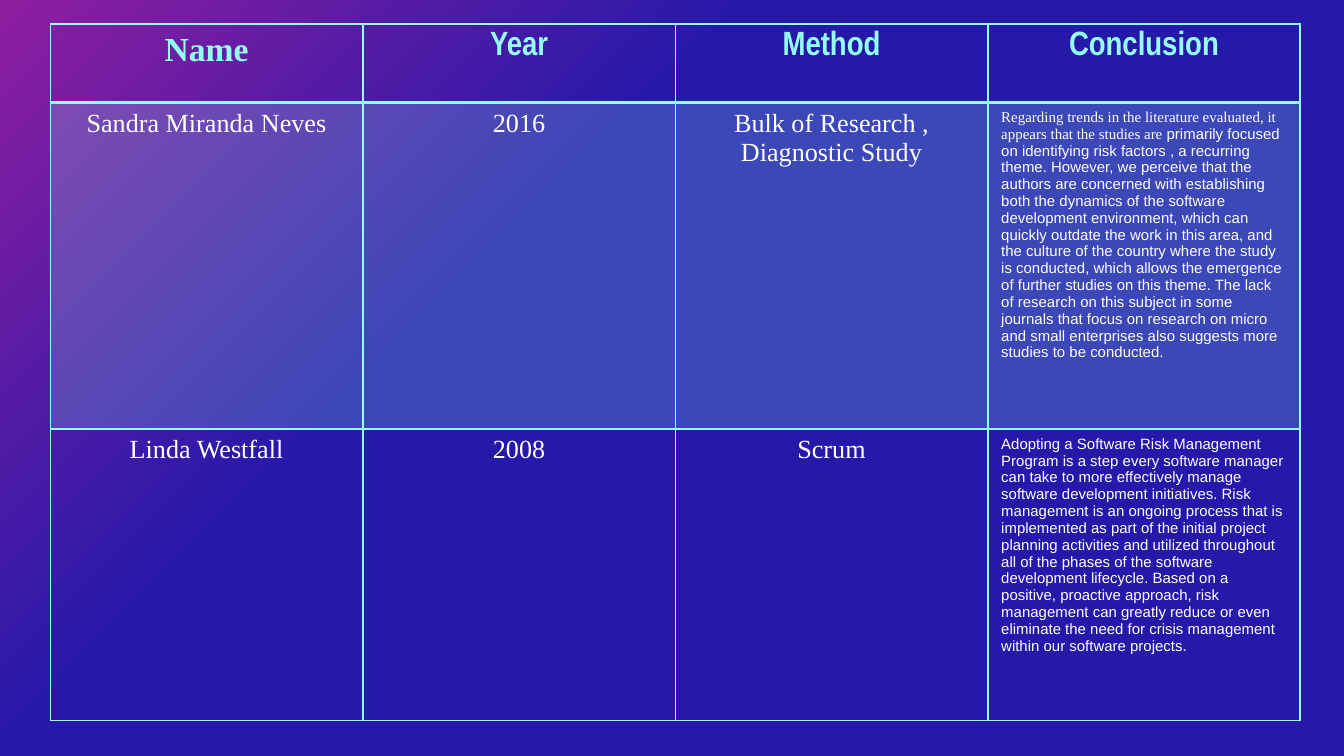
"""Build the literature review slide: a bordered table of studies over a gradient."""
from dataclasses import dataclass

from lxml.etree import SubElement
from pptx import Presentation
from pptx.dml.color import RGBColor
from pptx.enum.text import PP_ALIGN as Align
from pptx.oxml import parse_xml
from pptx.oxml.ns import nsdecls, qn
from pptx.slide import Slide
from pptx.table import Table, _Cell as Cell
from pptx.util import Pt

COLORS = {"magenta": "8F1EA0", "indigo": "2619AA", "aqua": "96FFF3", "white": "FFFFFF"}
SERIF, SANS, NARROW = "Times New Roman", "Arial", "Arial Narrow"
TABLE_LEFT, TABLE_TOP, COLUMN_WIDTH = 27, 13, 167.4
ROW_HEIGHTS = (41.8, 175, 156.2)
HEADINGS = (("Name", SERIF), ("Year", NARROW), ("Method", NARROW), ("Conclusion", NARROW))


@dataclass(frozen=True)
class Study:
    """One reviewed publication; the conclusion is a list of (text, font) parts."""
    author: str
    year: str
    methods: tuple[str, ...]
    conclusion: tuple[tuple[str, str], ...]
    tint: int = 0


STUDIES = (
    Study(
        "Sandra Miranda Neves", "2016", ("Bulk of Research ,", "Diagnostic Study"),
        (("Regarding trends in the literature evaluated, it appears that the studies are ", SERIF),
         ("primarily focused on identifying risk factors , a recurring theme. However, we "
          "perceive that the authors are concerned with establishing both the dynamics of the "
          "software development environment, which can quickly outdate the work in this area, "
          "and the culture of the country where the study is conducted, which allows the "
          "emergence of further studies on this theme. The lack of research on this subject in "
          "some journals that focus on research on micro and small enterprises also suggests "
          "more studies to be conducted.", SANS)),
        tint=20),
    Study(
        "Linda Westfall", "2008", ("Scrum",),
        (("Adopting a Software Risk Management Program is a step every software manager can "
          "take to more effectively manage software development initiatives. Risk management "
          "is an ongoing process that is implemented as part of the initial project planning "
          "activities and utilized throughout all of the phases of the software development "
          "lifecycle. Based on a positive, proactive approach, risk management can greatly "
          "reduce or even eliminate the need for crisis management within our software "
          "projects.", SANS),)),
)


def rgb(name: str) -> RGBColor:
    """Look up a palette colour."""
    return RGBColor.from_string(COLORS[name])


def write(cell: Cell, *lines: tuple[tuple[str, str], ...], size: float = 14,
          color: str = "white", bold: bool = False, align: Align = Align.CENTER) -> None:
    """Write one paragraph per line, each made of (text, font) parts."""
    frame = cell.text_frame
    for index, parts in enumerate(lines):
        paragraph = frame.add_paragraph() if index else frame.paragraphs[0]
        paragraph.alignment = align
        for text, font in parts:
            run = paragraph.add_run()
            run.text = text
            run.font.name, run.font.size, run.font.bold = font, Pt(size), bold
            run.font.color.rgb = rgb(color)


def paint(cell: Cell, tint: int) -> None:
    """Fill the cell with translucent aqua, or leave it clear when tint is zero."""
    if not tint:
        cell.fill.background()
        return
    cell.fill.solid()
    cell.fill.fore_color.rgb = rgb("aqua")
    tone = cell.fill._xPr.find(qn("a:solidFill"))[0]
    SubElement(tone, qn("a:alpha"), val=str(tint * 1000))


def outline(cell: Cell, top: float = 1, bottom: float = 1) -> None:
    """Draw aqua borders on all four sides of the cell."""
    properties = cell._tc.get_or_add_tcPr()
    sides = (("L", 1), ("R", 1), ("T", top), ("B", bottom))
    for index, (side, width) in enumerate(sides):
        properties.insert(index, parse_xml(
            f'<a:ln{side} {nsdecls("a")} w="{Pt(width)}"><a:solidFill>'
            f'<a:srgbClr val="{COLORS["aqua"]}"/></a:solidFill></a:ln{side}>'))


def paint_background(slide: Slide) -> None:
    """Run a diagonal gradient from the top left corner."""
    fill = slide.background.fill
    fill.gradient()
    fill.gradient_angle = 315
    for stop, color, position in zip(fill.gradient_stops, ("magenta", "indigo"), (0, 0.36)):
        stop.color.rgb, stop.position = rgb(color), position


def add_grid(slide: Slide) -> Table:
    """Add the empty, unstyled table."""
    columns = len(HEADINGS)
    table = slide.shapes.add_table(
        len(ROW_HEIGHTS), columns, Pt(TABLE_LEFT), Pt(TABLE_TOP),
        Pt(COLUMN_WIDTH * columns), Pt(sum(ROW_HEIGHTS))).table
    table.first_row = table.horz_banding = False
    for column in table.columns:
        column.width = Pt(COLUMN_WIDTH)
    for row, height in zip(table.rows, ROW_HEIGHTS):
        row.height = Pt(height)
    return table


def fill_header(table: Table) -> None:
    """Write the column headings above a heavier rule."""
    for cell, heading in zip(table.rows[0].cells, HEADINGS):
        write(cell, (heading,), size=18, color="aqua", bold=True)
        paint(cell, 0)
        outline(cell, bottom=2)


def fill_study(table: Table, row: int, study: Study) -> None:
    """Write one study into its row."""
    author, year, method, conclusion = cells = tuple(table.rows[row].cells)
    write(author, ((study.author, SERIF),))
    write(year, ((study.year, SERIF),))
    write(method, *(((name, SERIF),) for name in study.methods))
    write(conclusion, study.conclusion, size=8, align=Align.LEFT)
    for cell in cells:
        paint(cell, study.tint)
        outline(cell, top=2 if row == 1 else 1)


def main() -> None:
    """Assemble and save the presentation."""
    deck = Presentation()
    deck.slide_width, deck.slide_height = Pt(720), Pt(405)
    slide = deck.slides.add_slide(deck.slide_layouts[6])
    paint_background(slide)
    table = add_grid(slide)
    fill_header(table)
    for row, study in enumerate(STUDIES, start=1):
        fill_study(table, row, study)
    deck.save("out.pptx")


if __name__ == "__main__":
    main()
